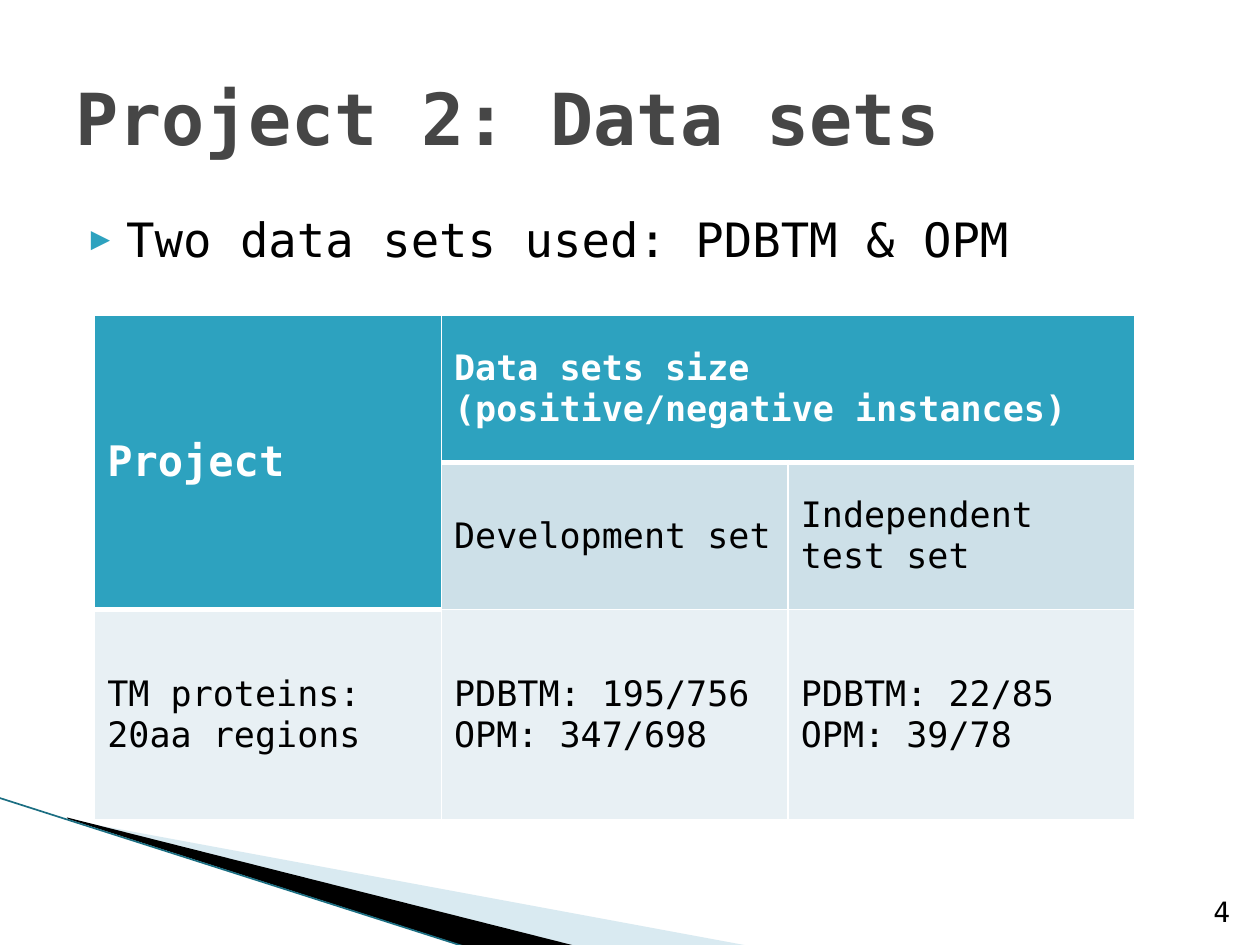
from dataclasses import dataclass

import pptx
import pptx.dml.color
import pptx.enum.shapes
import pptx.enum.text
import pptx.oxml.ns
import pptx.util
from lxml import etree
from pptx.util import Cm

FONT = "DejaVu Sans Mono"
BLACK, WHITE = "000000", "FFFFFF"
ACCENT, SUBHEAD, DATA = "2DA2BF", "CDE0E8", "E8F0F4"
ALIGN = pptx.enum.text.PP_ALIGN
ANCHOR = pptx.enum.text.MSO_ANCHOR
qn = pptx.oxml.ns.qn


@dataclass
class Wedge:
    """A filled corner decoration with its corners in centimetres."""
    corners: list[tuple[float, float]]
    color: str
    opacity: int = 100


@dataclass
class Entry:
    """A table cell and the rows and columns it covers."""
    row: int
    col: int
    text: str
    fill: str
    size: int = 20
    rows: int = 1
    cols: int = 1


def rgb(color: str) -> pptx.dml.color.RGBColor:
    """Turn a hex string into a colour."""
    return pptx.dml.color.RGBColor.from_string(color)


def write(frame, text: str, *, size: float, color: str = BLACK, bold: bool = False,
          align=ALIGN.LEFT, anchor=ANCHOR.TOP):
    """Fill a text frame with one formatted paragraph and return it."""
    frame.word_wrap = True
    frame.vertical_anchor = anchor
    paragraph = frame.paragraphs[0]
    paragraph.text = text
    paragraph.alignment = align
    for run in paragraph.runs:
        run.font.name = FONT
        run.font.size = pptx.util.Pt(size)
        run.font.bold = bold
        run.font.color.rgb = rgb(color)
    return paragraph


def place(shape, left: float, top: float, width: float, height: float) -> None:
    """Move and size a shape, in centimetres."""
    shape.left, shape.top = Cm(left), Cm(top)
    shape.width, shape.height = Cm(width), Cm(height)


def add_bullet(paragraph, color: str, percent: int, char: str) -> None:
    """Give a paragraph a coloured bullet with a hanging indent."""
    props = paragraph._p.get_or_add_pPr()
    props.set("marL", str(Cm(1.02)))
    props.set("indent", str(-Cm(0.71)))
    bullet_color = etree.SubElement(props, qn("a:buClr"))
    etree.SubElement(bullet_color, qn("a:srgbClr"), val=color)
    etree.SubElement(props, qn("a:buSzPct"), val=str(percent * 1000))
    etree.SubElement(props, qn("a:buFont"), typeface=FONT)
    etree.SubElement(props, qn("a:buChar"), char=char)


def add_wedge(slide, wedge: Wedge) -> None:
    """Draw one corner decoration."""
    start, *others = [(Cm(x), Cm(y)) for x, y in wedge.corners]
    builder = slide.shapes.build_freeform(*start)
    builder.add_line_segments(others, close=True)
    shape = builder.convert_to_shape()
    shape.shadow.inherit = False
    shape.line.fill.background()
    shape.fill.solid()
    shape.fill.fore_color.rgb = rgb(wedge.color)
    if wedge.opacity < 100:
        fill_color = shape._element.spPr.find(qn("a:solidFill"))[0]
        etree.SubElement(fill_color, qn("a:alpha"), val=str(wedge.opacity * 1000))


def add_edge(slide, start: tuple[float, float], end: tuple[float, float], color: str) -> None:
    """Draw the thin line along the corner decoration."""
    edge = slide.shapes.add_connector(
        pptx.enum.shapes.MSO_CONNECTOR.STRAIGHT, *map(Cm, start + end))
    edge.line.color.rgb = rgb(color)
    edge.line.width = pptx.util.Pt(0.95)
    etree.SubElement(edge._element.spPr, qn("a:effectLst"))


def add_borders(cell, top: float, bottom: float) -> None:
    """Give a cell white borders, with widths in points."""
    props = cell._tc.get_or_add_tcPr()
    for side, width in (("L", 1), ("R", 1), ("T", top), ("B", bottom)):
        border = etree.SubElement(props, qn(f"a:ln{side}"), w=str(pptx.util.Pt(width)))
        fill = etree.SubElement(border, qn("a:solidFill"))
        etree.SubElement(fill, qn("a:srgbClr"), val=WHITE)


def add_sizes_table(slide, entries: list[Entry], row_heights: list[float],
                    col_width: float, col_count: int) -> None:
    """Draw the table of data set sizes."""
    table = slide.shapes.add_table(
        len(row_heights), col_count, Cm(1.91), Cm(6.35),
        Cm(col_width * col_count), Cm(sum(row_heights))).table
    table.first_row = table.horz_banding = False
    for column in table.columns:
        column.width = Cm(col_width)
    for row, height in zip(table.rows, row_heights):
        row.height = Cm(height)
    fills = {(entry.row + r, entry.col + c): entry.fill
             for entry in entries for r in range(entry.rows) for c in range(entry.cols)}
    for (r, c), fill in fills.items():
        cell = table.cell(r, c)
        add_borders(cell, top=3 if fills.get((r - 1, c)) == ACCENT else 1,
                    bottom=3 if fill == ACCENT else 1)
        cell.fill.solid()
        cell.fill.fore_color.rgb = rgb(fill)
    for entry in entries:
        cell = table.cell(entry.row, entry.col)
        if entry.rows * entry.cols > 1:
            cell.merge(table.cell(entry.row + entry.rows - 1, entry.col + entry.cols - 1))
        header = entry.fill == ACCENT
        write(cell.text_frame, entry.text, size=entry.size, bold=header,
              color=WHITE if header else BLACK)
        cell.vertical_anchor = ANCHOR.MIDDLE


WEDGES = [
    Wedge([(1.4, 16.53), (15.11, 19.07), (11.58, 19.07), (1.4, 16.51)], "A0CBDC", 40),
    Wedge([(1.35, 16.48), (11.61, 19.07), (9.45, 19.1), (1.37, 16.51)], BLACK),
]
ENTRIES = [
    Entry(0, 0, "Project", ACCENT, size=24, rows=2),
    Entry(0, 1, "Data sets size\v(positive/negative instances)", ACCENT, cols=2),
    Entry(1, 1, "Development set", SUBHEAD),
    Entry(1, 2, "Independent test set", SUBHEAD),
    Entry(2, 0, "TM proteins:\v20aa regions", DATA),
    Entry(2, 1, "PDBTM: 195/756\vOPM: 347/698", DATA),
    Entry(2, 2, "PDBTM: 22/85\vOPM: 39/78", DATA),
]

deck = pptx.Presentation()
deck.slide_width, deck.slide_height = Cm(25.4), Cm(19.05)
slide = deck.slides.add_slide(deck.slide_layouts[1])

for wedge in WEDGES:
    add_wedge(slide, wedge)
add_edge(slide, (-0.03, 16.08), (9.42, 19.1), "1B6E82")

heading = slide.shapes.title
place(heading, 1.27, 0.76, 22.86, 3.18)
write(heading.text_frame, "Project 2: Data sets", size=41, color="464646", bold=True,
      anchor=ANCHOR.MIDDLE)
heading.text_frame.auto_size = pptx.enum.text.MSO_AUTO_SIZE.NONE

summary = slide.placeholders[1]
place(summary, 1.27, 4.11, 22.86, 12.57)
sets_used = write(summary.text_frame, "Two data sets used: PDBTM & OPM", size=27)
summary.text_frame.auto_size = pptx.enum.text.MSO_AUTO_SIZE.NONE
sets_used.space_before = pptx.util.Pt(4)
add_bullet(sets_used, ACCENT, 68, "\u25b6")

add_sizes_table(slide, ENTRIES, [2.97, 2.97, 4.23], 6.99, 3)

page_number = slide.shapes.add_textbox(Cm(24.03), Cm(17.81), Cm(1.02), Cm(1.02))
write(page_number.text_frame, "4", size=16, align=ALIGN.RIGHT, anchor=ANCHOR.BOTTOM)

deck.save("out.pptx")
